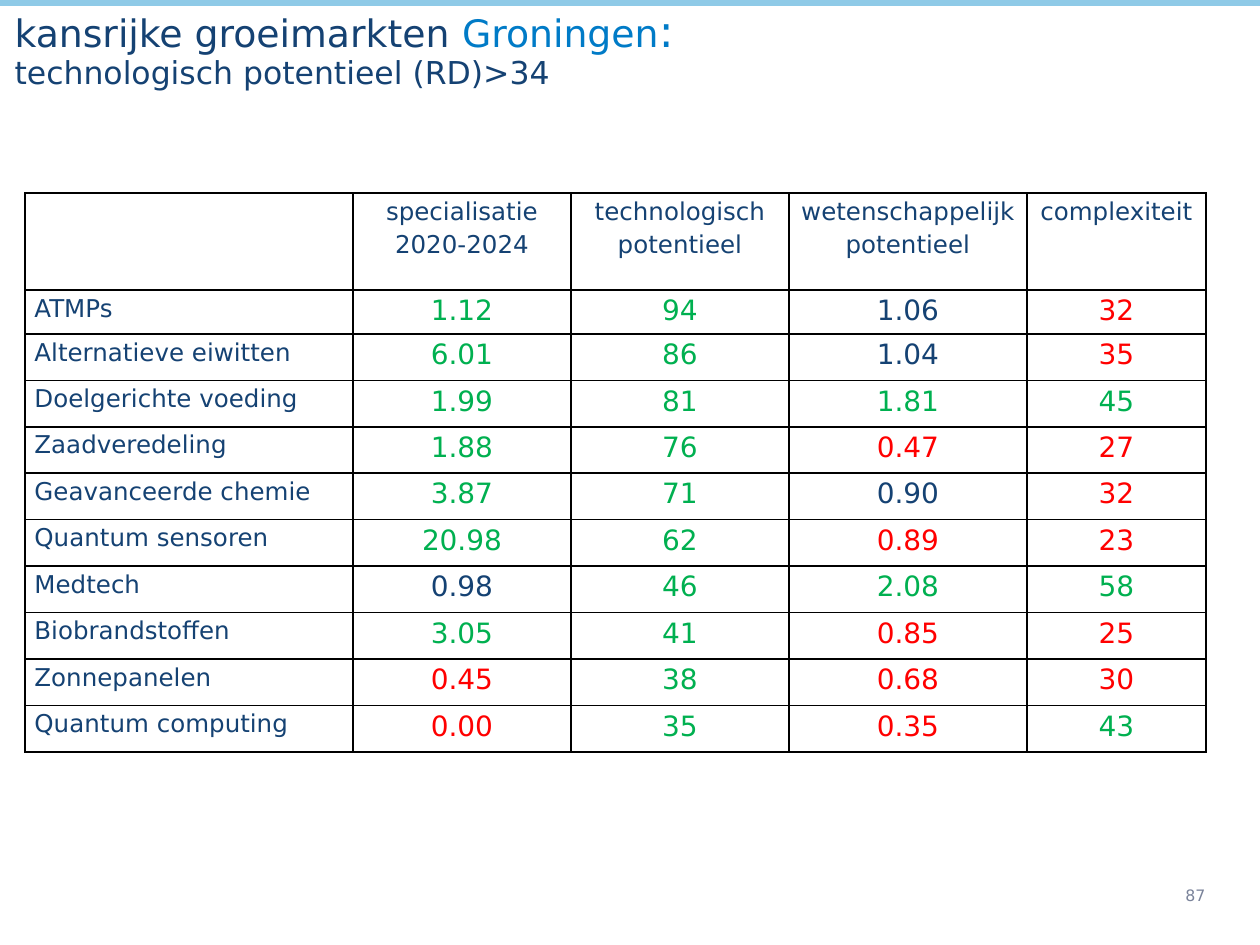
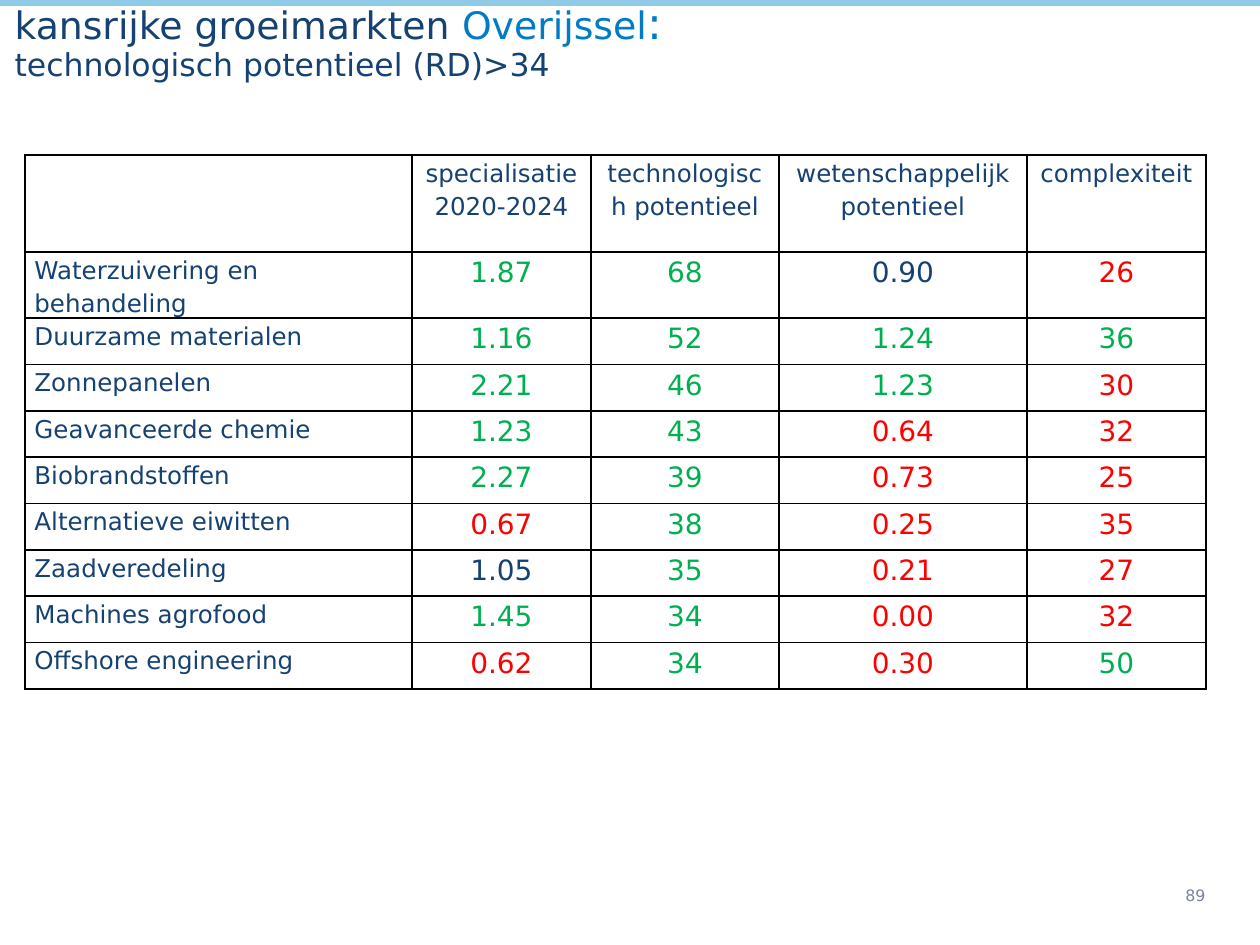
from lxml.etree import SubElement
from pptx import Presentation
from pptx.dml.color import RGBColor
from pptx.enum.shapes import MSO_SHAPE
from pptx.enum.text import MSO_ANCHOR, MSO_AUTO_SIZE, PP_ALIGN
from pptx.oxml.ns import qn
from pptx.util import Emu, Pt

EMU_PER_PX = 914400 / 126
FONT = "DejaVu Sans"
COLOURS = {
    "band": "8FCAE7",
    "navy": "154273",
    "blue": "007BC7",
    "green": "00B050",
    "red": "FF0000",
    "grey": "7A839A",
    "border": "000000",
}
SLIDE_SIZE = (1260, 945)
BAND_BOX = (0, 0, 1260, 5)
TITLE_BOX = (2, 45, 1255, 90)
NUMBER_BOX = (1173, 869, 86, 52)
HEADER_HEIGHT, FIRST_ROW_HEIGHT = 97, 44
CELL_INSET = Pt(5.4)
HEADERS = ["", "specialisatie 2020-2024", "technologisch potentieel",
           "wetenschappelijk potentieel", "complexiteit"]

REGIONS = [
    {
        "name": "Groningen", "colon_colour": "blue", "number": "87",
        "title_gap": 44, "table_box": (25, 193, 1181, 559),
        "columns": [328, 218, 218, 238, 179],
        "markets": [
            ("ATMPs", "1.12", "94", "1.06", "32"),
            ("Alternatieve eiwitten", "6.01", "86", "1.04", "35"),
            ("Doelgerichte voeding", "1.99", "81", "1.81", "45"),
            ("Zaadveredeling", "1.88", "76", "0.47", "27"),
            ("Geavanceerde chemie", "3.87", "71", "0.90", "32"),
            ("Quantum sensoren", "20.98", "62", "0.89", "23"),
            ("Medtech", "0.98", "46", "2.08", "58"),
            ("Biobrandstoffen", "3.05", "41", "0.85", "25"),
            ("Zonnepanelen", "0.45", "38", "0.68", "30"),
            ("Quantum computing", "0.00", "35", "0.35", "43"),
        ],
    },
    {
        "name": "Overijssel", "colon_colour": "blue", "number": "89",
        "title_gap": 52, "table_box": (25, 155, 1181, 512),
        "columns": [387, 179, 188, 248, 179],
        "markets": [
            ("Waterzuivering en behandeling", "1.87", "68", "0.90", "26"),
            ("Duurzame materialen", "1.16", "52", "1.24", "36"),
            ("Zonnepanelen", "2.21", "46", "1.23", "30"),
            ("Geavanceerde chemie", "1.23", "43", "0.64", "32"),
            ("Biobrandstoffen", "2.27", "39", "0.73", "25"),
            ("Alternatieve eiwitten", "0.67", "38", "0.25", "35"),
            ("Zaadveredeling", "1.05", "35", "0.21", "27"),
            ("Machines agrofood", "1.45", "34", "0.00", "32"),
            ("Offshore engineering", "0.62", "34", "0.30", "50"),
        ],
    },
]


def px(length):
    return Emu(round(length * EMU_PER_PX))


def colour(name):
    return RGBColor.from_string(COLOURS[name])


def style_font(font, size, colour_name):
    font.name = FONT
    font.size = Pt(size)
    font.color.rgb = colour(colour_name)


def add_master_band(presentation, slide):
    """Draw the top band and move it to the slide master."""
    band = slide.shapes.add_shape(MSO_SHAPE.RECTANGLE, *map(px, BAND_BOX))
    band.shadow.inherit = False
    band.fill.solid()
    band.fill.fore_color.rgb = colour("band")
    band.line.color.rgb = colour("band")
    band.line.width = Pt(0.75)
    band.element.nvSpPr.cNvPr.set("id", "20")
    presentation.slide_master.element.cSld.spTree.insert(2, band.element)


def fill_title(slide, box, region):
    title = slide.shapes.title
    title.left, title.top, title.width, title.height = map(px, box)
    frame = title.text_frame
    frame.auto_size = MSO_AUTO_SIZE.NONE
    frame.word_wrap = True
    frame.vertical_anchor = MSO_ANCHOR.BOTTOM
    frame.margin_bottom = px(region["title_gap"])
    paragraph = frame.paragraphs[0]
    paragraph.alignment = PP_ALIGN.LEFT
    paragraph.line_spacing = 0.9
    style_font(paragraph.font, 18, "navy")
    for text, size, colour_name in [
        ("kansrijke groeimarkten ", 21.6, "navy"),
        (region["name"], 21.6, "blue"),
        (":", 25.2, region["colon_colour"]),
        ("technologisch potentieel (RD)>34", 18, "navy"),
    ]:
        run = paragraph.add_run()
        run.text = text
        style_font(run.font, size, colour_name)
        if text == ":":
            paragraph.add_line_break()


def score_colour(column, value):
    """Green for strong, red for weak, navy for about average."""
    score = float(value)
    if column == 2:
        return "green"
    if column == 4:
        return "green" if score > 35 else "red"
    if score >= 1.1:
        return "green"
    return "red" if score < 0.9 else "navy"


def add_borders(cell):
    properties = cell._tc.get_or_add_tcPr()
    for position, side in enumerate(("a:lnL", "a:lnR", "a:lnT", "a:lnB")):
        line = SubElement(properties, qn(side), w=str(Pt(1)))
        properties.insert(position, line)
        fill = SubElement(line, qn("a:solidFill"))
        SubElement(fill, qn("a:srgbClr"), val=COLOURS["border"])


def fill_cell(cell, text, size, colour_name, alignment):
    cell.margin_left = cell.margin_right = CELL_INSET
    cell.margin_top = cell.margin_bottom = 0
    cell.fill.background()
    add_borders(cell)
    paragraph = cell.text_frame.paragraphs[0]
    paragraph.alignment = alignment
    paragraph.line_spacing = 1.15
    paragraph.space_after = Pt(10)
    style_font(paragraph.font, size, colour_name)
    if text:
        paragraph.add_run().text = text


def add_market_table(slide, box, columns, markets):
    rows = [HEADERS, *markets]
    table = slide.shapes.add_table(len(rows), len(HEADERS), *map(px, box)).table
    table.first_row = table.horz_banding = False
    for column, width in zip(table.columns, columns):
        column.width = px(width)
    other_height = (box[3] - HEADER_HEIGHT - FIRST_ROW_HEIGHT) / (len(markets) - 1)
    heights = [HEADER_HEIGHT, FIRST_ROW_HEIGHT] + [other_height] * (len(markets) - 1)
    for row_index, (values, height) in enumerate(zip(rows, heights)):
        table.rows[row_index].height = px(height)
        for column_index, value in enumerate(values):
            is_score = row_index > 0 and column_index > 0
            fill_cell(
                table.cell(row_index, column_index), value,
                16 if is_score else 14,
                score_colour(column_index, value) if is_score else "navy",
                PP_ALIGN.CENTER if column_index else PP_ALIGN.LEFT,
            )


def add_page_number(slide, box, number):
    frame = slide.shapes.add_textbox(*map(px, box)).text_frame
    frame.word_wrap = True
    frame.vertical_anchor = MSO_ANCHOR.MIDDLE
    paragraph = frame.paragraphs[0]
    paragraph.add_run().text = number
    style_font(paragraph.font, 9, "grey")


def main():
    presentation = Presentation()
    presentation.slide_width, presentation.slide_height = map(px, SLIDE_SIZE)
    title_only = presentation.slide_layouts[5]
    for region in REGIONS:
        slide = presentation.slides.add_slide(title_only)
        fill_title(slide, TITLE_BOX, region)
        add_market_table(slide, region["table_box"], region["columns"], region["markets"])
        add_page_number(slide, NUMBER_BOX, region["number"])
    add_master_band(presentation, presentation.slides[0])
    presentation.save("out.pptx")


if __name__ == "__main__":
    main()
